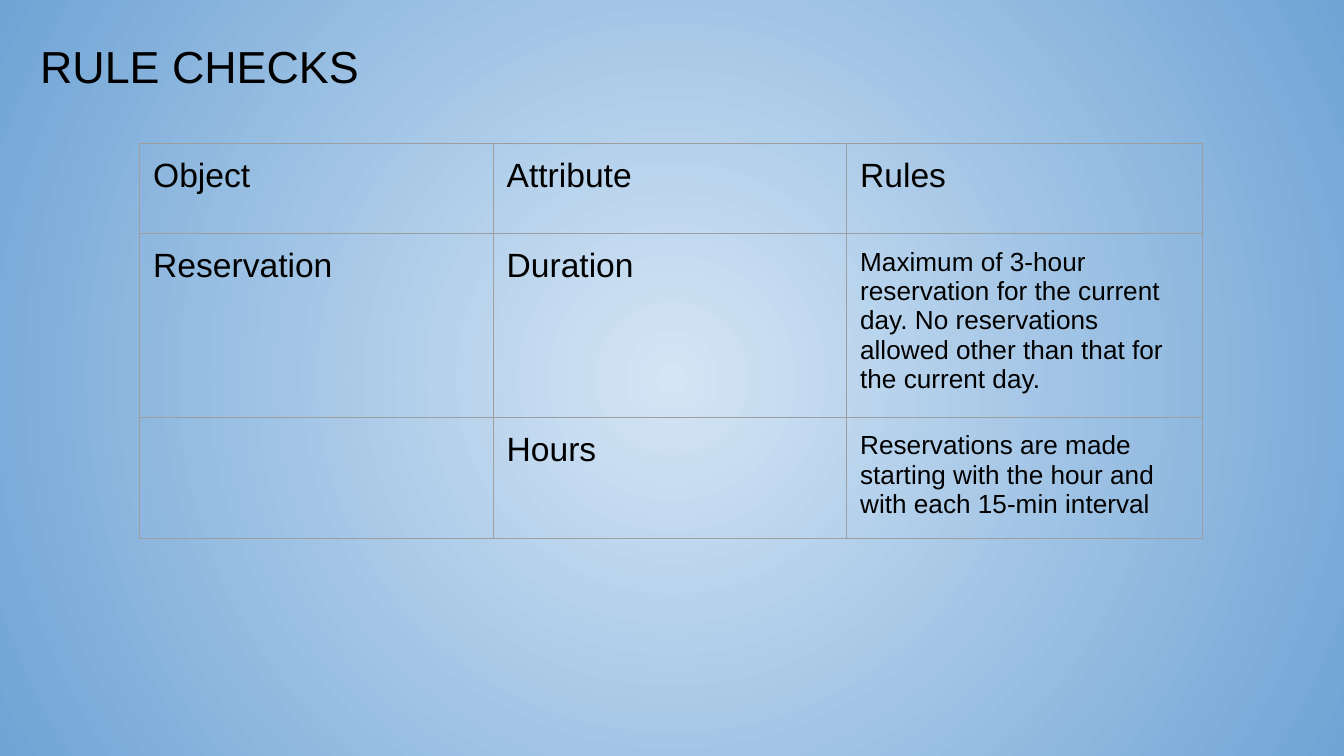
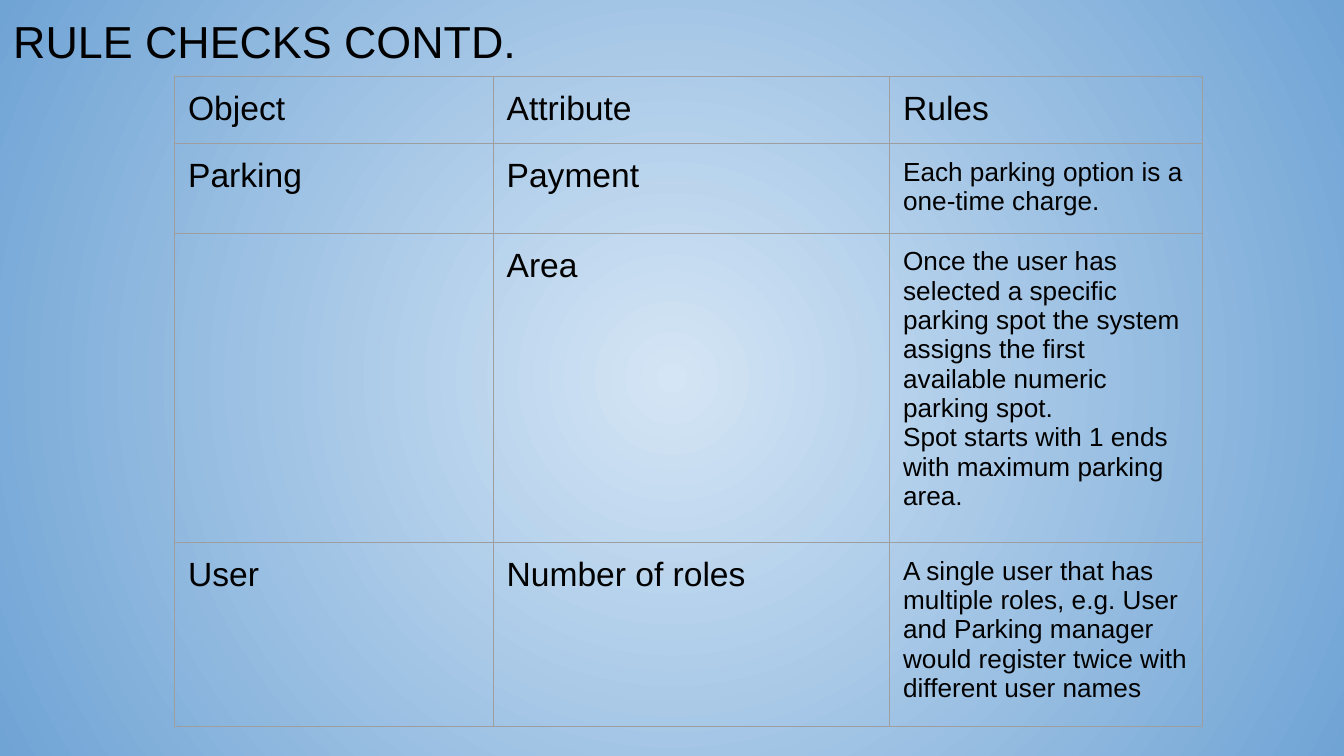
from lxml import etree
from pptx import Presentation
from pptx.dml.color import RGBColor
from pptx.oxml import parse_xml
from pptx.oxml.ns import nsdecls, qn
from pptx.util import Inches, Pt

CENTRE = RGBColor(0xD4, 0xE5, 0xF5)
EDGE = RGBColor(0x70, 0xA4, 0xD5)
BORDER = RGBColor(0x9E, 0x9E, 0x9E)
BLACK = RGBColor(0, 0, 0)
FONT = "Arial"
INSET = Inches(0.1)
TITLE_SIZE, CELL_SIZE, RULE_SIZE = Pt(24), Pt(18), Pt(14)
HEADER = ["Object", "Attribute", "Rules"]

# Title box, table corner, column widths, row heights and rows of each slide
SLIDES = [
    ("RULE CHECKS", (0.2, 0.19, 9.29, 0.94), (1.04, 1.07),
     [2.63, 2.63, 2.65], [0.67, 0.66, 0.66],
     [["Reservation", "Duration",
       "Maximum of 3-hour reservation for the current day. "
       "No reservations allowed other than that for the current day."],
      ["", "Hours",
       "Reservations are made starting with the hour and with each 15-min interval"]]),
    ("RULE CHECKS CONTD.", (0, 0, 7.37, 1.1), (1.3, 0.57),
     [2.37, 2.95, 2.33], [0.46, 0.61, 2.08, 1.24],
     [["Parking", "Payment", "Each parking option is a one-time charge."],
      ["", "Area",
       "Once the user has selected a specific parking spot the system assigns "
       "the first available numeric parking spot.\n"
       "Spot starts with 1 ends with maximum parking area."],
      ["User", "Number of roles",
       "A single user that has multiple roles, e.g. User and Parking manager "
       "would register twice with different user names"]]),
]


def write(holder, text, size):
    """Fill a text box or a cell with text in the shared style."""
    holder.margin_left = holder.margin_right = INSET
    holder.margin_top = holder.margin_bottom = INSET
    tf = getattr(holder, "text_frame", holder)
    tf.word_wrap = True
    tf.text = text
    for p in tf.paragraphs:
        p.font.name, p.font.size, p.font.color.rgb = FONT, size, BLACK


def add_borders(cell):
    """Draw a thin line on all four sides of a cell."""
    tc_pr = cell._tc.get_or_add_tcPr()
    for side in ("lnL", "lnR", "lnT", "lnB"):
        tc_pr.append(parse_xml(
            f'<a:{side} {nsdecls("a")} w="{Pt(0.75)}"><a:solidFill>'
            f'<a:srgbClr val="{BORDER}"/></a:solidFill></a:{side}>'))


prs = Presentation()
prs.slide_width, prs.slide_height = Inches(10), Inches(5.625)

# Shared background: circular gradient from the centre
fill = prs.slide_master.background.fill
fill.gradient()
for stop, colour in zip(fill.gradient_stops, (CENTRE, EDGE)):
    stop.color.rgb = colour
lin = next(prs.slide_master.element.iter(qn("a:lin")))
circle = etree.Element(qn("a:path"), path="circle")
etree.SubElement(circle, qn("a:fillToRect"), l="50000", t="50000", r="50000", b="50000")
lin.getparent().replace(lin, circle)

for title, box, corner, widths, heights, rows in SLIDES:
    s = prs.slides.add_slide(prs.slide_layouts[6])

    # Title
    sp = s.shapes.add_textbox(*map(Inches, box))
    write(sp.text_frame, title, TITLE_SIZE)

    # Rule table
    left, top = map(Inches, corner)
    table = s.shapes.add_table(len(heights), len(widths), left, top,
                               Inches(sum(widths)), Inches(sum(heights))).table
    table.first_row = table.horz_banding = False
    for column, width in zip(table.columns, widths):
        column.width = Inches(width)
    for row, height in zip(table.rows, heights):
        row.height = Inches(height)
    for i, texts in enumerate([HEADER] + rows):
        for j, text in enumerate(texts):
            cell = table.cell(i, j)
            is_rule = i > 0 and j == len(HEADER) - 1
            write(cell, text, RULE_SIZE if is_rule else CELL_SIZE)
            add_borders(cell)
            cell.fill.background()

prs.save("out.pptx")
